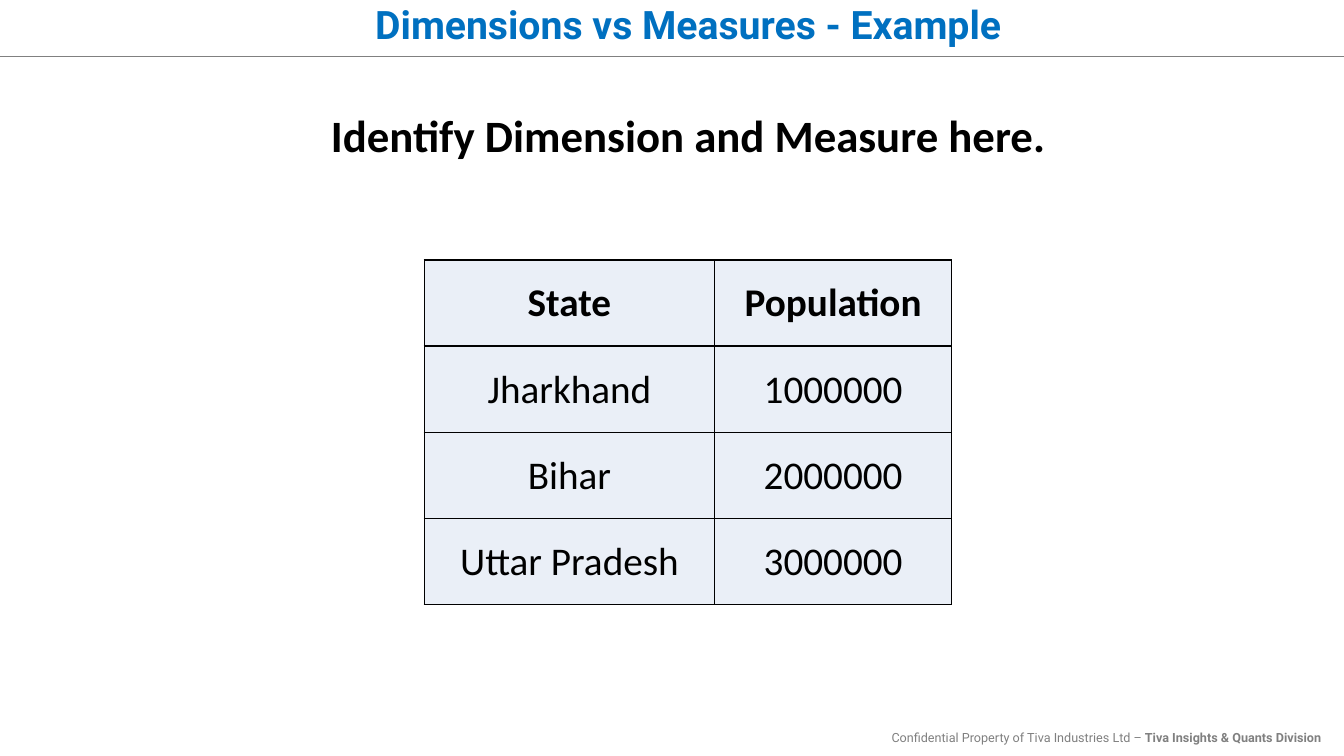
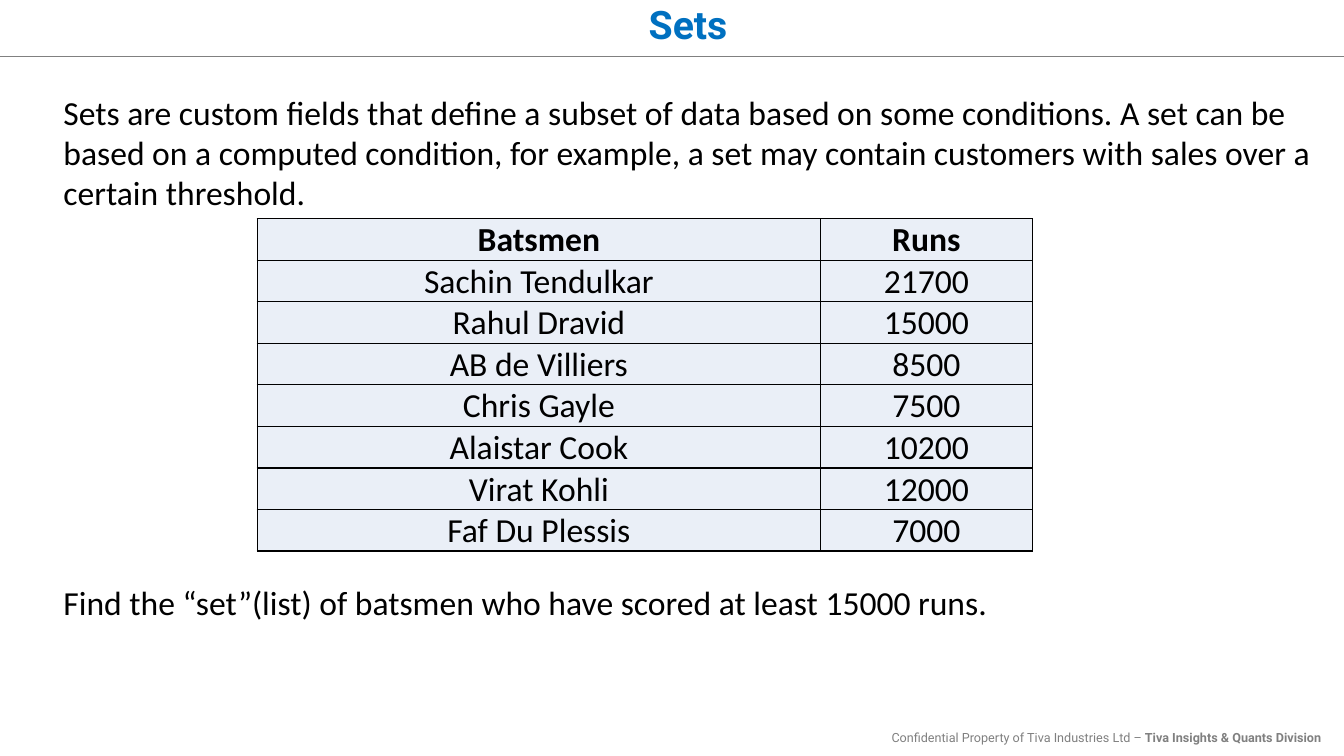
from dataclasses import dataclass

from lxml.etree import SubElement
from pptx import Presentation
from pptx.dml.color import RGBColor as Rgb
from pptx.enum.shapes import MSO_CONNECTOR as Connector
from pptx.enum.text import MSO_ANCHOR as Anchor, PP_ALIGN as Align
from pptx.oxml.ns import qn
from pptx.util import Cm, Pt


@dataclass(frozen=True)
class Theme:
    white: Rgb = Rgb(0xFF, 0xFF, 0xFF)
    black: Rgb = Rgb(0, 0, 0)
    blue: Rgb = Rgb(0x00, 0x70, 0xC0)
    gray: Rgb = Rgb(0x80, 0x80, 0x80)
    cell: Rgb = Rgb(0xEA, 0xEF, 0xF7)
    title_font: str = "Roboto"
    body_font: str = "Calibri"
    footer_size: int = 9
    body_size: int = 24
    title_size: int = 28
    heading_size: int = 32


theme = Theme()
title_format = {"name": theme.title_font, "size": Pt(theme.title_size), "bold": True}
footer_format = {"name": theme.title_font, "size": Pt(theme.footer_size), "bold": False}
body_format = {"name": theme.body_font, "size": Pt(theme.body_size), "bold": False}
heading_format = {"name": theme.body_font, "size": Pt(theme.heading_size), "bold": True}

footer_runs = [
    ("Confidential Property of Tiva Industries Ltd – ", footer_format),
    ("Tiva Insights & Quants Division", footer_format | {"bold": True}),
]

# Boxes are left, top, width, height in centimetres.
slides = [
    {
        "title": "Dimensions vs Measures - Example",
        "texts": [
            ("Identify Dimension and Measure here.",
             (4.45, 2.59, 25.8, 1.62), heading_format, Align.CENTER),
        ],
        "table": {
            "position": (10.69, 6.55),
            "columns": (7.32, 5.97),
            "row_height": 2.17,
            "size": theme.title_size,
            "rows": [
                ("State", "Population"),
                ("Jharkhand", "1000000"),
                ("Bihar", "2000000"),
                ("Uttar Pradesh", "3000000"),
            ],
        },
    },
    {
        "title": "Sets",
        "texts": [
            ("Sets are custom fields that define a subset of data based on some "
             "conditions. A set can be based on a computed condition, for example, "
             "a set may contain customers with sales over a certain threshold.",
             (1.35, 2.18, 32, 3.35), body_format, Align.LEFT),
            ("Find the “set”(list) of batsmen who have scored at least 15000 runs.",
             (1.35, 14.55, 32, 1.29), body_format, Align.LEFT),
        ],
        "table": {
            "position": (6.48, 5.51),
            "columns": (14.2, 5.33),
            "row_height": 1.04,
            "size": theme.body_size,
            "rows": [
                ("Batsmen", "Runs"),
                ("Sachin Tendulkar", "21700"),
                ("Rahul Dravid", "15000"),
                ("AB de Villiers", "8500"),
                ("Chris Gayle", "7500"),
                ("Alaistar Cook", "10200"),
                ("Virat Kohli", "12000"),
                ("Faf Du Plessis", "7000"),
            ],
        },
    },
]


def write_runs(paragraph, runs, color, alignment):
    paragraph.alignment = alignment
    for text, font_format in runs:
        run = paragraph.add_run()
        run.text = text
        for name, value in font_format.items():
            setattr(run.font, name, value)
        run.font.color.rgb = color


def add_text(slide, box, runs, color, alignment):
    shape = slide.shapes.add_textbox(*map(Cm, box))
    shape.text_frame.word_wrap = True
    write_runs(shape.text_frame.paragraphs[0], runs, color, alignment)
    return shape


presentation = Presentation()
presentation.slide_width = Cm(33.87)
presentation.slide_height = Cm(19.05)
blank_layout = presentation.slide_layouts[6]

for content in slides:
    slide = presentation.slides.add_slide(blank_layout)

    rule = slide.shapes.add_connector(
        Connector.STRAIGHT, 0, Cm(1.42), presentation.slide_width, Cm(1.42))
    rule.line.color.rgb = theme.gray
    rule.line.width = Pt(0.5)
    SubElement(rule._element.spPr, qn("a:effectLst"))

    add_text(slide, (16.66, 18.26, 16.88, 0.64), footer_runs, theme.gray, Align.RIGHT)

    title = add_text(slide, (5.77, 0, 23.14, 1.35),
                     [(content["title"], title_format)], theme.blue, Align.CENTER)
    title.fill.solid()
    title.fill.fore_color.rgb = theme.white
    title.text_frame.vertical_anchor = Anchor.MIDDLE
    title.text_frame.paragraphs[0].line_spacing = 0.9

    for text, box, font_format, alignment in content["texts"]:
        add_text(slide, box, [(text, font_format)], theme.black, alignment)

    layout = content["table"]
    rows, columns = layout["rows"], layout["columns"]
    left, top = layout["position"]
    table = slide.shapes.add_table(
        len(rows), len(columns), Cm(left), Cm(top),
        Cm(sum(columns)), Cm(layout["row_height"] * len(rows))).table
    table.first_row = table.horz_banding = False
    for column, width in zip(table.columns, columns):
        column.width = Cm(width)

    for row_index, values in enumerate(rows):
        table.rows[row_index].height = Cm(layout["row_height"])
        font_format = body_format | {"size": Pt(layout["size"]), "bold": row_index == 0}
        for column_index, value in enumerate(values):
            cell = table.cell(row_index, column_index)
            cell_format = {
                "vertical_anchor": Anchor.MIDDLE,
                "margin_left": Cm(0.03),
                "margin_right": Cm(0.03),
                "margin_top": Cm(0.03),
                "margin_bottom": 0,
            }
            for name, setting in cell_format.items():
                setattr(cell, name, setting)
            properties = cell._tc.get_or_add_tcPr()
            for side in ("lnL", "lnR", "lnT", "lnB"):
                border = SubElement(properties, qn(f"a:{side}"), w=str(Pt(1)))
                fill = SubElement(border, qn("a:solidFill"))
                SubElement(fill, qn("a:srgbClr"), val=str(theme.black))
            cell.fill.solid()
            cell.fill.fore_color.rgb = theme.cell
            write_runs(cell.text_frame.paragraphs[0], [(value, font_format)],
                       theme.black, Align.CENTER)

presentation.save("out.pptx")
